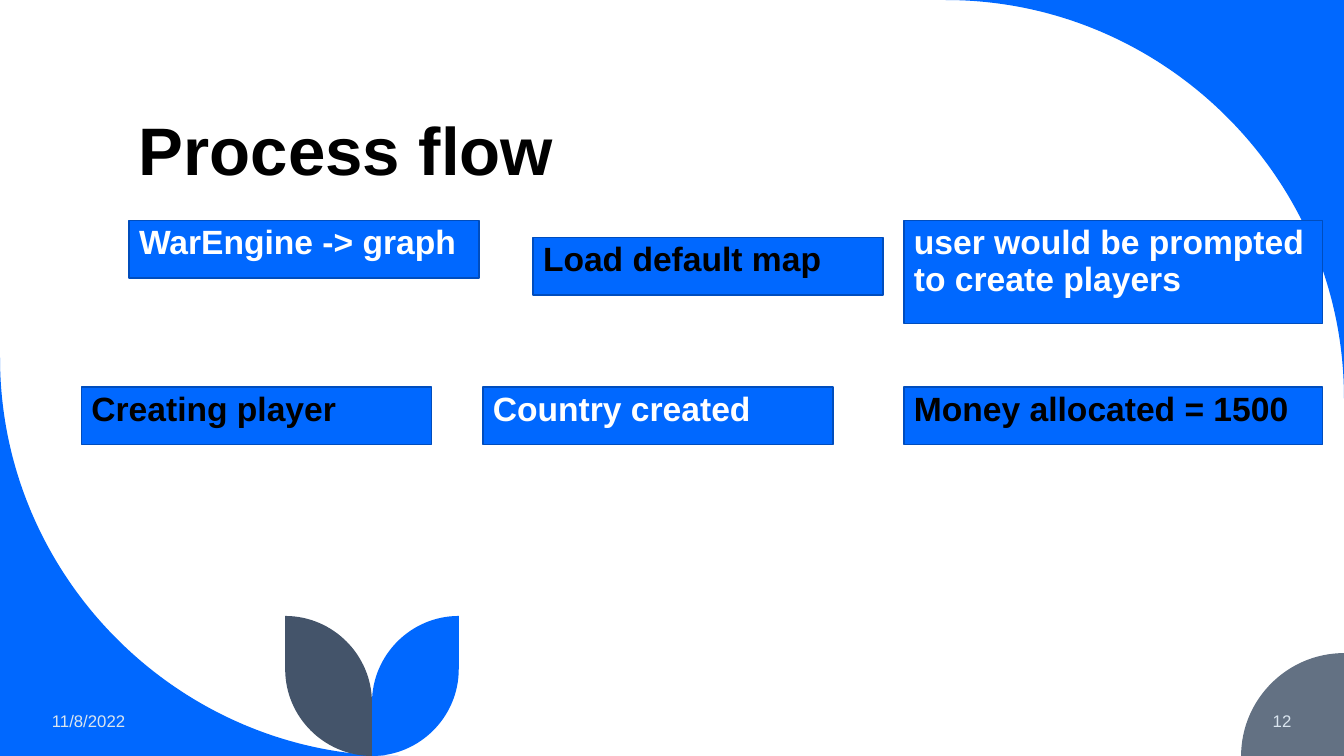
import lxml.etree
import pptx
import pptx.dml.color
import pptx.enum.shapes
import pptx.enum.text
import pptx.oxml.ns
import pptx.util

Pt = pptx.util.Pt
qn = pptx.oxml.ns.qn
ALIGN = pptx.enum.text.PP_ALIGN
ANCHOR = pptx.enum.text.MSO_ANCHOR
BLUE, BLACK, WHITE, PALE = "0068FF", "000000", "FFFFFF", "DAE5EF"


def rgb(value):
    return pptx.dml.color.RGBColor.from_string(value)


def write(shape, text, anchor, paragraph_format, font_format, color):
    frame = shape.text_frame
    frame.word_wrap = True
    frame.vertical_anchor = anchor
    paragraph = frame.paragraphs[0]
    run = paragraph.add_run()
    run.text = text
    for name, value in paragraph_format.items():
        setattr(paragraph, name, value)
    for name, value in font_format.items():
        setattr(run.font, name, value)
    run.font.color.rgb = rgb(color)


presentation = pptx.Presentation()
presentation.slide_width, presentation.slide_height = Pt(960), Pt(540)
slide = presentation.slides.add_slide(presentation.slide_layouts[6])
shapes = slide.shapes

# Outlines: a start point, then segments; one point is a straight line,
# two points are a quarter circle's outer corner and its end
outlines = [
    (BLUE, (960, 0), [[(960, 284.5)], [(960, 0), (675.5, 0)]]),
    (BLUE, (0, 255.5), [[(0, 540), (284.5, 540)], [(0, 540)]]),
    ("637183", (960, 540), [[(960, 466.5)], [(886.5, 466.5), (886.5, 540)]]),
]

# Two mirrored leaves on one stem
stem, leaf_width = 265.7, 62
for color, tip in ((BLUE, stem + leaf_width), ("44546A", stem - leaf_width)):
    outlines.append((color, (tip, 440), [
        [(tip, 478)], [(tip, 540), (stem, 540)],
        [(stem, 502)], [(stem, 440), (tip, 440)],
    ]))

for color, start, segments in outlines:
    points, sizes, current = [start], [], start
    for segment in segments:
        end = segment[-1]
        if len(segment) == 2:
            corner = segment[0]
            for anchor in (current, end):
                points.append([a + 0.55 * (c - a) for a, c in zip(anchor, corner)])
        points.append(end)
        sizes.append(3 if len(segment) == 2 else 1)
        current = end
    points = [(Pt(x), Pt(y)) for x, y in points]
    builder = shapes.build_freeform(*points[0], scale=1.0)
    builder.add_line_segments(points[1:], close=True)
    shape = builder.convert_to_shape()

    # Join each curve's three points into one Bezier segment
    lines = list(shape.element.iter(qn("a:lnTo")))
    for size in sizes:
        group, lines = lines[:size], lines[size:]
        if size == 3:
            curve = lxml.etree.Element(qn("a:cubicBezTo"))
            group[0].addprevious(curve)
            for line in group:
                curve.append(line[0])
                line.getparent().remove(line)

    shape.shadow.inherit = False
    shape.fill.solid()
    shape.fill.fore_color.rgb = rgb(color)
    shape.line.fill.background()

# Title, date and slide number
title_font = {"name": "Arial", "size": Pt(48), "bold": True}
footer_font = {"name": "Arial", "size": Pt(12)}
labels = [
    ("Process flow", 92.2, 35, 770, 104, ANCHOR.BOTTOM, {"line_spacing": 0.9}, title_font, BLACK),
    ("11/8/2022", 30, 500.5, 139, 28.8, ANCHOR.MIDDLE, {}, footer_font, PALE),
    ("12", 799, 500.5, 130.5, 28.8, ANCHOR.MIDDLE, {"alignment": ALIGN.RIGHT}, footer_font, PALE),
]
for text, left, top, width, height, *style in labels:
    box = shapes.add_textbox(Pt(left), Pt(top), Pt(width), Pt(height))
    write(box, text, *style)

# Process steps
narrow, wide, low, tall = 250, 299, 41, 73.4
upper_row, lower_row, last_column = 157.7, 276.5, 645.8
steps = [
    ("WarEngine -> graph", 92.2, upper_row, narrow, low, WHITE),
    ("Country created", 345, lower_row, narrow, low, WHITE),
    ("user would be prompted to create players", last_column, upper_row, wide, tall, WHITE),
    ("Creating player", 58.2, lower_row, narrow, low, BLACK),
    ("Load default map", 380.8, 169.8, narrow, low, BLACK),
    ("Money allocated = 1500", last_column, lower_row, wide, low, BLACK),
]
step_paragraph = {"alignment": ALIGN.LEFT, "line_spacing": 0.9, "space_before": Pt(10)}
step_font = {"name": "Arial", "size": Pt(24), "bold": True}
for text, left, top, width, height, color in steps:
    box = shapes.add_shape(pptx.enum.shapes.MSO_SHAPE.RECTANGLE,
                           Pt(left), Pt(top), Pt(width), Pt(height))
    box.shadow.inherit = False
    box.fill.solid()
    box.fill.fore_color.rgb = rgb(BLUE)
    box.line.color.rgb = rgb("004DBD")
    box.line.width = Pt(1)
    write(box, text, ANCHOR.TOP, step_paragraph, step_font, color)

presentation.save("out.pptx")
